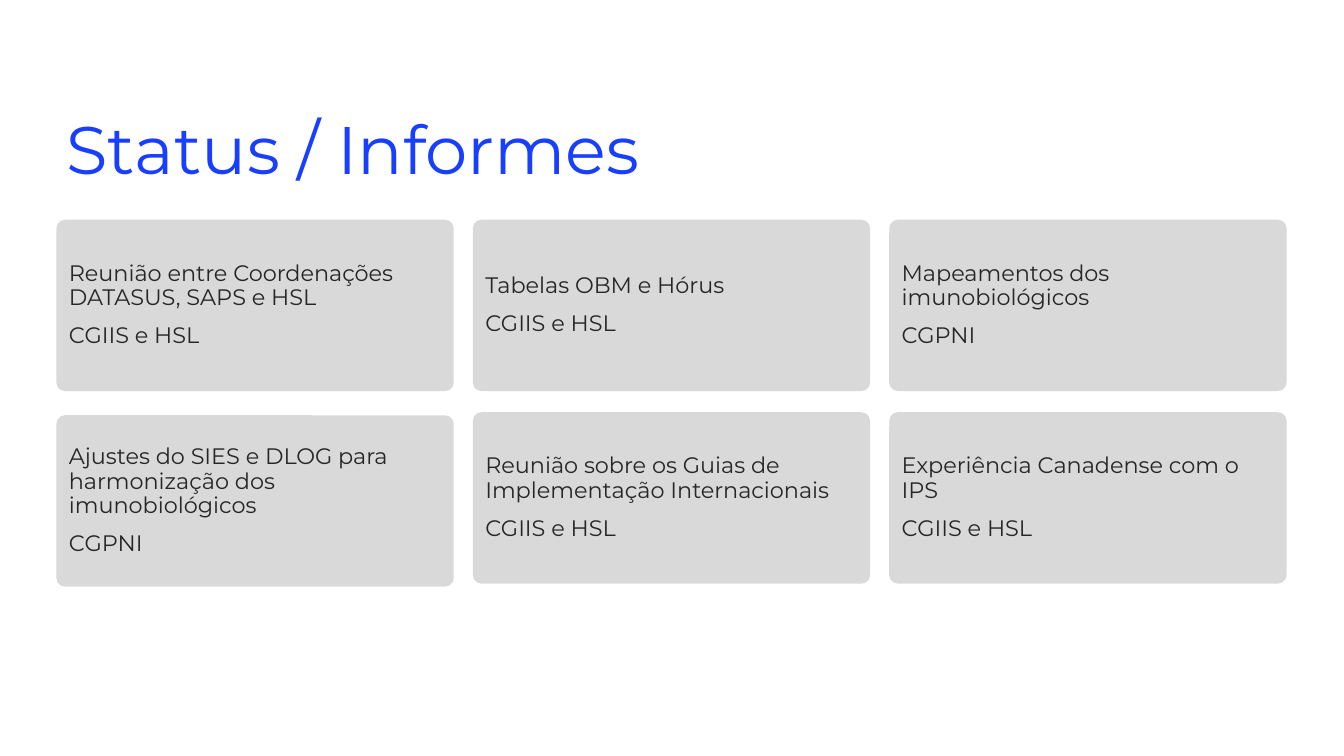
import pptx
import pptx.dml.color
import pptx.enum.shapes
import pptx.enum.text
import pptx.util

Inches = pptx.util.Inches
Pt = pptx.util.Pt
RGBColor = pptx.dml.color.RGBColor
Anchor = pptx.enum.text.MSO_ANCHOR

BLUE = RGBColor(0x18, 0x3E, 0xFF)
GRAY = RGBColor(0xD9, 0xD9, 0xD9)
INK = RGBColor(0x26, 0x26, 0x26)

# Each row of cards: (topic, team, extra drop in inches)
CARD_ROWS = [
    [
        ("Reunião entre Coordenações DATASUS, SAPS e HSL", "CGIIS e HSL", 0),
        ("Tabelas OBM e Hórus", "CGIIS e HSL", 0),
        ("Mapeamentos dos imunobiológicos", "CGPNI", 0),
    ],
    [
        ("Ajustes do SIES e DLOG para harmonização dos imunobiológicos", "CGPNI", 0.03),
        ("Reunião sobre os Guias de Implementação Internacionais", "CGIIS e HSL", 0),
        ("Experiência Canadense com o IPS", "CGIIS e HSL", 0),
    ],
]


class StatusSlide:
    FONT = "Montserrat"
    LEFT, TOP = 0.56, 2.18
    COLUMN, ROW = 4.13, 1.91
    CARD_WIDTH, CARD_HEIGHT = 3.94, 1.7

    def __init__(self, deck):
        self.slide = deck.slides.add_slide(deck.slide_layouts[6])

    def add_lines(self, frame, lines, size, color, anchor):
        frame.word_wrap = True
        frame.vertical_anchor = anchor
        for index, line in enumerate(lines):
            paragraph = frame.add_paragraph() if index else frame.paragraphs[0]
            paragraph.alignment = pptx.enum.text.PP_ALIGN.LEFT
            paragraph.line_spacing = 0.9
            paragraph.space_before = Pt(10 if index else 0)
            run = paragraph.add_run()
            run.text = line
            run.font.name = self.FONT
            run.font.size = Pt(size)
            run.font.color.rgb = color

    def add_title(self, text):
        heading = self.slide.shapes.add_textbox(
            Inches(self.LEFT), Inches(1.11), Inches(8.73), Inches(0.65))
        self.add_lines(heading.text_frame, [text], 48, BLUE, Anchor.TOP)

    def add_card(self, column, row, topic, team, drop):
        card = self.slide.shapes.add_shape(
            pptx.enum.shapes.MSO_SHAPE.ROUNDED_RECTANGLE,
            Inches(self.LEFT + column * self.COLUMN),
            Inches(self.TOP + row * self.ROW + drop),
            Inches(self.CARD_WIDTH), Inches(self.CARD_HEIGHT))
        card.adjustments[0] = 0.05
        card.shadow.inherit = False
        card.fill.solid()
        card.fill.fore_color.rgb = GRAY
        card.line.fill.background()
        self.add_lines(card.text_frame, [topic, team], 16, INK, Anchor.MIDDLE)


def main():
    deck = pptx.Presentation()
    deck.slide_width = Inches(13.33)
    deck.slide_height = Inches(7.5)
    status = StatusSlide(deck)
    status.add_title("Status / Informes")
    for row, cards in enumerate(CARD_ROWS):
        for column, (topic, team, drop) in enumerate(cards):
            status.add_card(column, row, topic, team, drop)
    deck.save("out.pptx")


if __name__ == "__main__":
    main()
